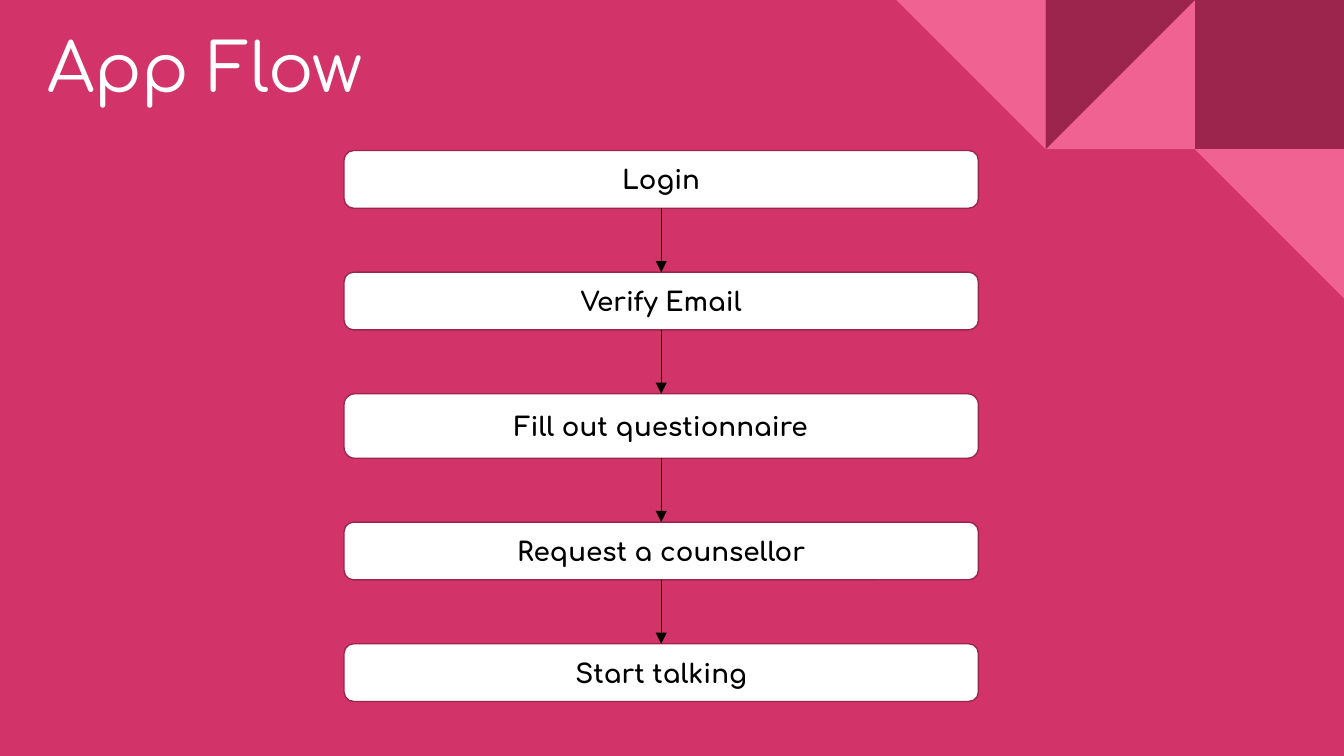
from lxml.etree import SubElement
from pptx import Presentation
from pptx.dml.color import RGBColor
from pptx.enum.shapes import MSO_CONNECTOR, MSO_SHAPE
from pptx.enum.text import MSO_ANCHOR, MSO_AUTO_SIZE, PP_ALIGN
from pptx.oxml.ns import qn
from pptx.util import Inches, Pt

COLORS = {
    "background": "D23369",
    "dark": "9C254D",
    "light": "F06292",
    "white": "FFFFFF",
    "black": "000000",
}
FRAME_FORMAT = {
    "word_wrap": True,
    "auto_size": MSO_AUTO_SIZE.NONE,
    "vertical_anchor": MSO_ANCHOR.MIDDLE,
    "margin_left": Inches(0.1),
    "margin_right": Inches(0.1),
    "margin_top": Inches(0.1),
    "margin_bottom": Inches(0.1),
}
TITLE_FONT = {"name": "Comfortaa", "size": Pt(36), "bold": False}
STEP_FONT = {"name": "Comfortaa", "size": Pt(14), "bold": True}

# Column, row, shape, clockwise rotation, color
CORNER_TILES = [
    (2, 0, MSO_SHAPE.RECTANGLE, 0, "dark"),
    (1, 0, MSO_SHAPE.RIGHT_TRIANGLE, 270, "light"),
    (1, 0, MSO_SHAPE.RIGHT_TRIANGLE, 90, "dark"),
    (0, 0, MSO_SHAPE.RIGHT_TRIANGLE, 180, "light"),
    (2, 1, MSO_SHAPE.RIGHT_TRIANGLE, 180, "light"),
]
# Label, height in inches
STEPS = [
    ("Login", 0.43),
    ("Verify Email", 0.43),
    ("Fill out questionnaire", 0.48),
    ("Request a counsellor", 0.43),
    ("Start talking", 0.43),
]


def color(name):
    return RGBColor.from_string(COLORS[name])


def apply_format(target, values):
    for attribute, value in values.items():
        setattr(target, attribute, value)


def write_text(shape, text, font_format, color_name, alignment):
    frame = shape.text_frame
    apply_format(frame, FRAME_FORMAT)
    paragraph = frame.paragraphs[0]
    paragraph.alignment = alignment
    run = paragraph.add_run()
    run.text = text
    apply_format(run.font, font_format)
    run.font.color.rgb = color(color_name)


def add_filled_shape(slide, kind, left, top, width, height, color_name):
    shape = slide.shapes.add_shape(
        kind, Inches(left), Inches(top), Inches(width), Inches(height))
    shape.shadow.inherit = False
    shape.fill.solid()
    shape.fill.fore_color.rgb = color(color_name)
    shape.line.fill.background()
    return shape


def add_corner(slide, left, top, width):
    size = width / 3
    for column, row, kind, rotation, color_name in CORNER_TILES:
        tile = add_filled_shape(slide, kind, left + column * size,
                                top + row * size, size, size, color_name)
        tile.rotation = rotation


def add_title(slide, left, top, width, height):
    title = slide.shapes.title
    apply_format(title, {"left": Inches(left), "top": Inches(top),
                         "width": Inches(width), "height": Inches(height)})
    write_text(title, "App Flow", TITLE_FONT, "white", PP_ALIGN.LEFT)


def add_arrow(slide, upper, lower):
    arrow = slide.shapes.add_connector(MSO_CONNECTOR.STRAIGHT, 0, 0, 0, 0)
    arrow.begin_connect(upper, 2)
    arrow.end_connect(lower, 0)
    arrow.line.color.rgb = color("black")
    arrow.line.width = Pt(0.75)
    SubElement(arrow.line._get_or_add_ln(), qn("a:tailEnd"), type="triangle")
    SubElement(arrow._element.spPr, qn("a:effectLst"))


def add_flow(slide, left, top, width, height):
    gap = (height - sum(step[1] for step in STEPS)) / (len(STEPS) - 1)
    boxes = []
    for label, step_height in STEPS:
        box = add_filled_shape(slide, MSO_SHAPE.ROUNDED_RECTANGLE,
                               left, top, width, step_height, "white")
        box.line.color.rgb = color("dark")
        box.line.width = Pt(0.75)
        write_text(box, label, STEP_FONT, "black", PP_ALIGN.CENTER)
        boxes.append(box)
        top += step_height + gap
    for upper, lower in zip(boxes, boxes[1:]):
        add_arrow(slide, upper, lower)


def main():
    presentation = Presentation()
    # Widescreen, 16 to 9
    presentation.slide_width = Inches(10)
    presentation.slide_height = Inches(10) * 9 // 16
    slide = presentation.slides.add_slide(presentation.slide_layouts[5])
    slide.background.fill.solid()
    slide.background.fill.fore_color.rgb = color("background")

    # Corner decoration, heading and step sequence
    add_corner(slide, 6.67, 0, 3.33)
    add_title(slide, 0.25, 0, 6.74, 0.98)
    add_flow(slide, 2.56, 1.12, 4.72, 4.1)

    presentation.save("out.pptx")


if __name__ == "__main__":
    main()
